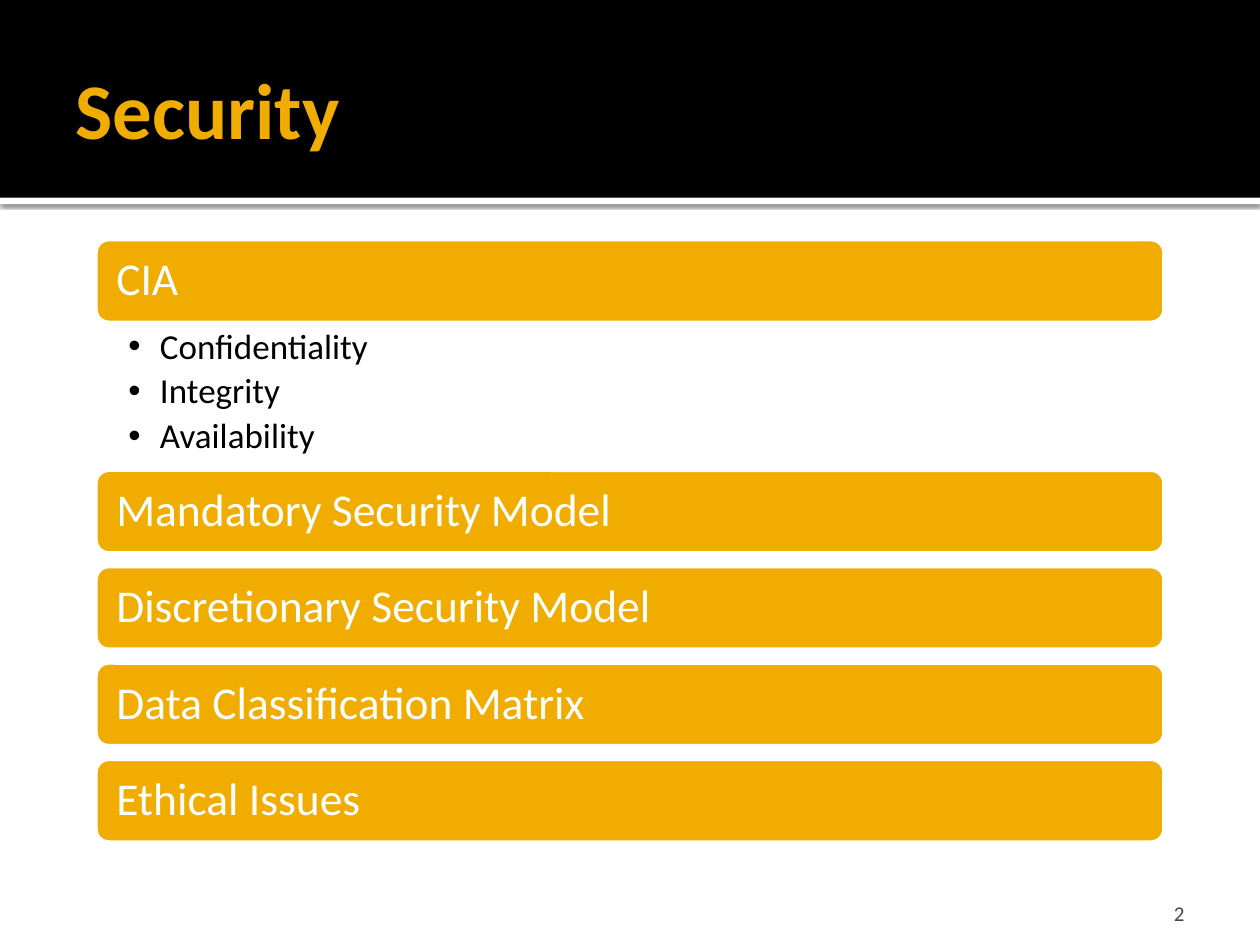
"""Build the Security agenda slide with a list of topic bars."""
from lxml.etree import SubElement
from pptx import Presentation
from pptx.dml.color import RGBColor
from pptx.enum.shapes import MSO_SHAPE as Shape
from pptx.enum.text import MSO_ANCHOR as Anchor, PP_ALIGN as Align
from pptx.oxml.ns import qn
from pptx.util import Inches, Pt

GOLD, WHITE, BLACK, GRAY = "F0AD00", "FFFFFF", "000000", "454545"


def write_text(shape, text, size, color, bold=False, align=Align.LEFT, anchor=Anchor.MIDDLE,
               insets=(0.1, 0.05, 0.05, 0.05), line_spacing=1.0, space_after=0, bullet=False):
    """Fill a shape with one formatted paragraph per line of text."""
    frame = shape.text_frame
    frame.word_wrap = True
    frame.vertical_anchor = anchor
    frame.margin_left, frame.margin_top, frame.margin_right, frame.margin_bottom = map(Inches, insets)
    frame.text = text
    for paragraph in frame.paragraphs:
        paragraph.alignment = align
        paragraph.line_spacing = line_spacing
        paragraph.space_before = Pt(0)
        paragraph.space_after = Pt(space_after)
        font = paragraph.font if not paragraph.runs else paragraph.runs[0].font
        font.name, font.size, font.bold = "Calibri", Pt(size), bold
        font.color.rgb = RGBColor.from_string(color)
        if bullet:
            properties = paragraph._p.get_or_add_pPr()
            properties.set("marL", str(Inches(0.25)))
            properties.set("indent", str(Inches(-0.25)))
            SubElement(properties, qn("a:buFont"), typeface="Arial")
            SubElement(properties, qn("a:buChar"), char="•")


def add_filled(kind, left, top, width, height, color):
    """Add a borderless, shadowless shape with a solid fill."""
    shape = slide.shapes.add_shape(kind, Inches(left), Inches(top), Inches(width), Inches(height))
    shape.shadow.inherit = False
    shape.fill.solid()
    shape.fill.fore_color.rgb = RGBColor.from_string(color)
    shape.line.fill.background()
    return shape


presentation = Presentation()
presentation.slide_width, presentation.slide_height = Inches(10), Inches(7.5)
slide = presentation.slides.add_slide(presentation.slide_layouts[5])
title = slide.shapes.title

strip = add_filled(Shape.RECTANGLE, 0, 1.57, 10, 0.05, WHITE)
effects = strip._element.spPr.find(qn("a:effectLst"))
shadow = SubElement(effects, qn("a:outerShdw"), blurRad=str(Pt(2.5)), dist=str(Pt(0.8)),
                    dir="5400000", algn="tl", rotWithShape="0")
shadow_color = SubElement(shadow, qn("a:srgbClr"), val=BLACK)
SubElement(shadow_color, qn("a:alpha"), val="60000")
header = add_filled(Shape.RECTANGLE, 0, 0, 10, 1.57, BLACK)
for band in (strip, header):
    title._element.addprevious(band._element)

title.left, title.top, title.width, title.height = map(Inches, (0.5, 0.17, 9, 1.37))
write_text(title, "Security", size=45, color=GOLD, bold=True)

topics = [
    ("CIA", ["Confidentiality", "Integrity", "Availability"]),
    ("Mandatory Security Model", []),
    ("Discretionary Security Model", []),
    ("Data Classification Matrix", []),
    ("Ethical Issues", []),
]
left, top, width = 0.75, 1.89, 8.5
bar_height, bar_gap, details_height = 0.68, 0.085, 1.15
for topic, details in topics:
    bar = add_filled(Shape.ROUNDED_RECTANGLE, left, top, width, bar_height, GOLD)
    bar.line.color.rgb = RGBColor.from_string(WHITE)
    bar.line.width = Pt(3.78)
    write_text(bar, topic, size=26, color=WHITE, insets=(0.14, 0.14, 0.14, 0.14), line_spacing=0.9)
    top += bar_height
    if details:
        box = slide.shapes.add_textbox(Inches(left), Inches(top), Inches(width), Inches(details_height))
        write_text(box, "\n".join(details), size=20, color=BLACK, anchor=Anchor.TOP,
                   insets=(0.27, 0.04, 0.2, 0.04), line_spacing=0.9, space_after=4, bullet=True)
        top += details_height
    else:
        top += bar_gap

slide_number = slide.shapes.add_textbox(Inches(7.17), Inches(6.83), Inches(2.33), Inches(0.52))
write_text(slide_number, "2", size=12, color=GRAY, align=Align.RIGHT, anchor=Anchor.BOTTOM,
           insets=(0.1, 0.05, 0.1, 0))

presentation.save("out.pptx")
